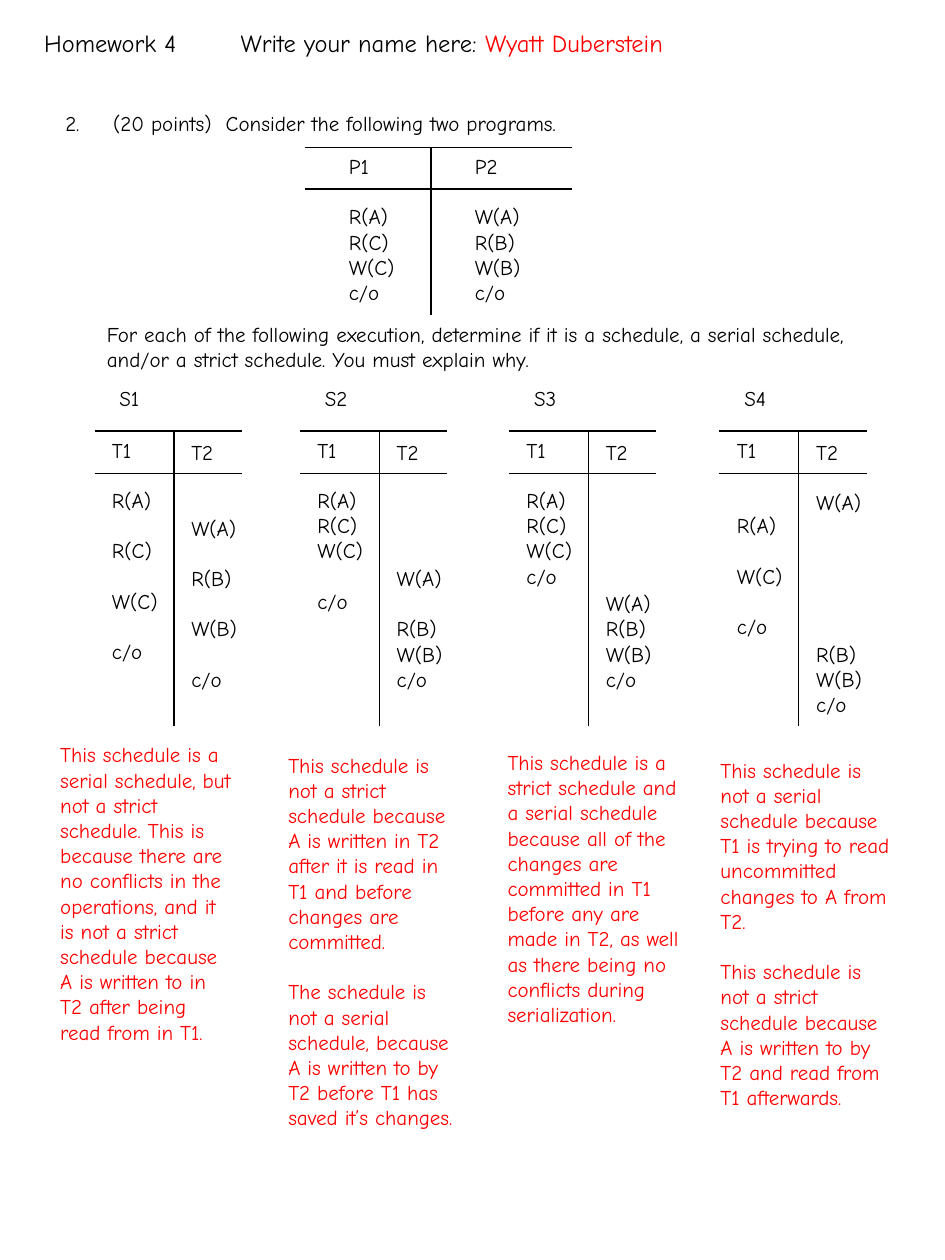
from pptx import Presentation
from pptx.dml.color import RGBColor
from pptx.enum.shapes import MSO_CONNECTOR
from pptx.enum.text import MSO_ANCHOR, MSO_AUTO_SIZE, PP_ALIGN
from pptx.oxml.ns import qn
from pptx.util import Inches, Pt
from lxml.etree import SubElement

FONT = "Comic Neue"
BLACK, RED = "000000", "FF0000"
ROW = 14.4
FRAME = {
    "word_wrap": True,
    "auto_size": MSO_AUTO_SIZE.SHAPE_TO_FIT_TEXT,
    "vertical_anchor": MSO_ANCHOR.TOP,
    "margin_left": Inches(0.1),
    "margin_right": Inches(0.1),
    "margin_top": Inches(0.05),
    "margin_bottom": Inches(0.05),
}
SCHEDULES = [
    ("S1", 0.75, "T1 . R(A) . R(C) . W(C) . c/o",
     "T2 . . W(A) . R(B) . W(B) . c/o"),
    ("S2", 2.38, "T1 . R(A) R(C) W(C) . c/o",
     "T2 . . . . W(A) . R(B) W(B) c/o"),
    ("S3", 4.04, "T1 . R(A) R(C) W(C) c/o",
     "T2 . . . . . W(A) R(B) W(B) c/o"),
    ("S4", 5.71, "T1 . . R(A) . W(C) . c/o",
     "T2 . W(A) . . . . . R(B) W(B) c/o"),
]
ANSWERS = [
    (0.38, 5.84, 2.5, [
        "This schedule is a serial schedule, but not a strict schedule. This is "
        "because there are no conflicts in the operations, and it is not a strict "
        "schedule because A is written to in T2 after being read from in T1."]),
    (2.19, 5.92, 3.1, [
        "This schedule is not a strict schedule because A is written in T2 after "
        "it is read in T1 and before changes are committed.",
        "The schedule is not a serial schedule, because A is written to by T2 "
        "before T1 has saved it’s changes."]),
    (3.93, 5.9, 2.3, [
        "This schedule is a strict schedule and a serial schedule because all of "
        "the changes are committed in T1 before any are made in T2, as well as "
        "there being no conflicts during serialization."]),
    (5.62, 5.96, 2.9, [
        "This schedule is not a serial schedule because T1 is trying to read "
        "uncommitted changes to A from T2.",
        "This schedule is not a strict schedule because A is written to by T2 and "
        "read from T1 afterwards."]),
]


def color(value):
    """Turn a hex string into a colour."""
    return RGBColor.from_string(value)


def format_frame(tf):
    """Apply the shared text frame format."""
    for name, value in FRAME.items():
        setattr(tf, name, value)


def add_run(p, text, fill=BLACK, size=12):
    """Add a run of text to a paragraph."""
    r = p.add_run()
    r.text = text
    for name, value in {"name": FONT, "size": Pt(size)}.items():
        setattr(r.font, name, value)
    r.font.color.rgb = color(fill)


def add_text(slide, x, y, w, h, lines, fill=BLACK):
    """Add a text box of (text, rows skipped before it) lines."""
    tf = slide.shapes.add_textbox(Inches(x), Inches(y), Inches(w), Inches(h)).text_frame
    format_frame(tf)
    for i, (text, skipped) in enumerate(lines):
        p = tf.add_paragraph() if i else tf.paragraphs[0]
        p.space_before = Pt(ROW * skipped)
        add_run(p, text, fill)
    return tf


def add_rule(slide, x1, y1, x2, y2):
    """Add a thin black line."""
    line = slide.shapes.add_connector(
        MSO_CONNECTOR.STRAIGHT, Inches(x1), Inches(y1), Inches(x2), Inches(y2))
    line.line.color.rgb = color(BLACK)
    line.line.width = Pt(0.75)
    SubElement(line._element.spPr, qn("a:effectLst"))


def add_heading(slide, x, y, w, h):
    """Place the title with the homework number and the name."""
    sp = slide.shapes.title
    box = {"left": x, "top": y, "width": w, "height": h}
    for name, value in box.items():
        setattr(sp, name, Inches(value))
    format_frame(sp.text_frame)
    p = sp.text_frame.paragraphs[0]
    p.alignment = PP_ALIGN.LEFT
    tabs = SubElement(p._p.get_or_add_pPr(), qn("a:tabLst"))
    SubElement(tabs, qn("a:tab"), pos=str(Inches(1.56)), algn="l")
    add_run(p, "Homework 4\tWrite your name here: ", size=14)
    add_run(p, "Wyatt Duberstein", RED, 14)


def add_question(slide, x, y, w, h):
    """Place the question as item 2 of a numbered list."""
    text = "(20 points)  Consider the following two programs."
    pPr = add_text(slide, x, y, w, h, [(text, 0)]).paragraphs[0]._p.get_or_add_pPr()
    pPr.set("marL", str(Inches(0.38)))
    pPr.set("indent", str(-Inches(0.38)))
    SubElement(pPr, qn("a:buFont"), typeface=FONT)
    SubElement(pPr, qn("a:buAutoNum"), type="arabicPeriod", startAt="2")


def parse_steps(steps):
    """Split steps into lines, counting each dot as a skipped row."""
    lines, skipped = [], 0
    for step in steps.split():
        if step == ".":
            skipped += 1
        else:
            lines.append((step, skipped))
            skipped = 0
    return lines


def add_steps(slide, x, y, w, h, head, split, inset, columns, drop=0):
    """Draw two ruled columns of steps, the second lowered by drop."""
    for rule_y in (y, y + head):
        add_rule(slide, x, rule_y, x + w, rule_y)
    add_rule(slide, x + split, y, x + split, y + h)
    for i, (steps, width) in enumerate(zip(columns, (0.75, 0.63))):
        height = 0.1 + 0.2 * len(steps.split())
        add_text(slide, x + inset + i * split, y + i * drop, width, height,
                 parse_steps(steps))


def add_schedule(slide, x, y, name, columns):
    """Draw a named schedule of two transactions."""
    add_text(slide, x + 0.1, y, 0.5, 0.3, [(name, 0)])
    add_steps(slide, x, y + 0.41, 1.17, 2.34, 0.34, 0.63, 0.04, columns, 0.02)


def add_answer(slide, x, y, w, h, paragraphs):
    """Place a red answer with a row between its paragraphs."""
    add_text(slide, x, y, w, h,
             [(text, min(i, 1)) for i, text in enumerate(paragraphs)], RED)


def main():
    """Build and save the homework slide."""
    prs = Presentation()
    prs.slide_width, prs.slide_height = Inches(7.5), Inches(10)
    slide = prs.slides.add_slide(prs.slide_layouts[5])
    add_heading(slide, 0.25, 0.17, 7.17, 0.34)
    add_question(slide, 0.42, 0.83, 5.83, 0.3)
    add_steps(slide, 2.42, 1.17, 2.12, 1.33, 0.33, 1, 0.25,
              ("P1 . R(A) R(C) W(C) c/o", "P2 . W(A) R(B) W(B) c/o"))
    add_text(slide, 0.75, 2.5, 6.08, 0.5, [(
        "For each of the following execution, determine if it is a schedule, a serial "
        "schedule, and/or a strict schedule. You must explain why.", 0)])
    for name, x, *columns in SCHEDULES:
        add_schedule(slide, x, 3.01, name, columns)
    for x, y, h, paragraphs in ANSWERS:
        add_answer(slide, x, y, 1.57, h, paragraphs)
    prs.save("out.pptx")


if __name__ == "__main__":
    main()
